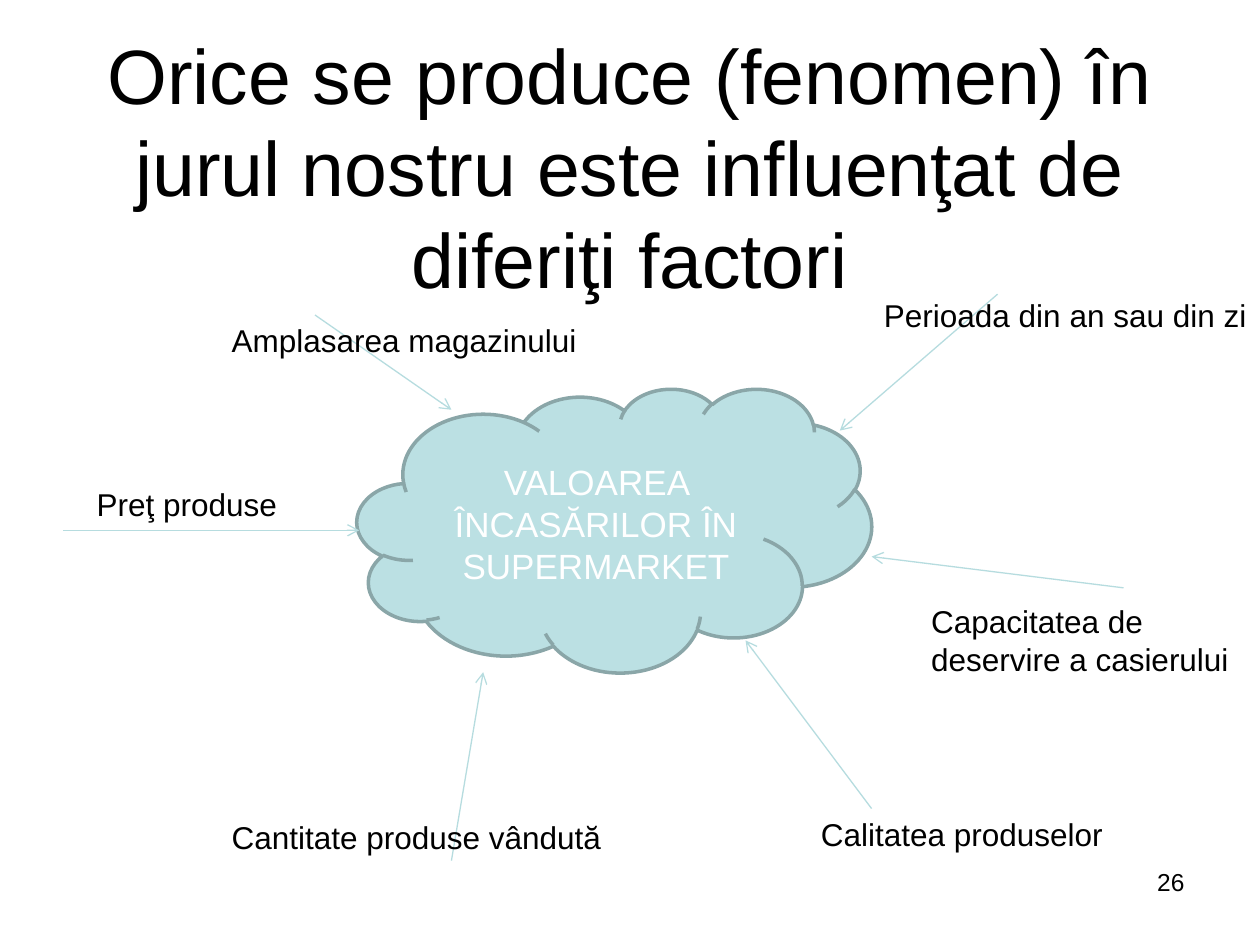
from lxml.etree import SubElement
from pptx import Presentation
from pptx.dml.color import RGBColor
from pptx.enum.shapes import MSO_CONNECTOR, MSO_SHAPE
from pptx.enum.text import MSO_ANCHOR, MSO_AUTO_SIZE, PP_ALIGN
from pptx.oxml.ns import qn
from pptx.util import Cm, Pt

BLACK, WHITE = "000000", "FFFFFF"
CLOUD_FILL, CLOUD_LINE, ARROW_LINE = "BBE0E3", "8AA6A8", "B6DCDF"

# Factor, label box (left, top, width, height), arrow start, arrow tip; in cm
FACTORS = [
    ("Preţ produse", (1.7, 9.65, 4.19, 1.02), (1.27, 10.69), (7.24, 10.69)),
    ("Cantitate produse vândută", (4.42, 16.36, 8.03, 1.02), (9.1, 17.35), (9.74, 13.55)),
    ("Calitatea produselor", (16.3, 16.3, 6.25, 1.02), (17.57, 16.3), (15.03, 12.91)),
    ("Capacitatea de\ndeservire a casierului", (18.52, 12.01, 6.58, 1.8), (22.65, 11.85), (17.57, 11.22)),
    ("Perioada din an sau din zi", (17.57, 5.84, 7.87, 1.02), (20.11, 5.93), (16.93, 8.68)),
    ("Amplasarea magazinului", (4.42, 6.35, 7.54, 1.02), (6.35, 6.35), (9.1, 8.26)),
]


def colour(code):
    return RGBColor.from_string(code)


def cm(*lengths):
    return [Cm(length) for length in lengths]


def write(shape, text, size=18, color=BLACK, align=PP_ALIGN.LEFT,
          anchor=MSO_ANCHOR.TOP, wrap=True, fit=MSO_AUTO_SIZE.NONE):
    frame = shape.text_frame
    frame.text = text
    frame.word_wrap = wrap
    frame.auto_size = fit
    frame.vertical_anchor = anchor
    for paragraph in frame.paragraphs:
        paragraph.alignment = align
        for run in paragraph.runs:
            run.font.name = "Arial"
            run.font.size = Pt(size)
            run.font.color.rgb = colour(color)


def add_text(slide, box, text, **text_format):
    write(slide.shapes.add_textbox(*cm(*box)), text, **text_format)


def add_arrow(slide, start, tip):
    arrow = slide.shapes.add_connector(MSO_CONNECTOR.STRAIGHT, *cm(*start, *tip))
    arrow.line.color.rgb = colour(ARROW_LINE)
    arrow.line.width = Pt(0.75)
    SubElement(arrow.line._get_or_add_ln(), qn("a:tailEnd"), type="arrow")
    SubElement(arrow._element.spPr, qn("a:effectLst"))


def add_cloud(slide, box, text):
    cloud = slide.shapes.add_shape(MSO_SHAPE.CLOUD, *cm(*box))
    cloud.shadow.inherit = False
    cloud.fill.solid()
    cloud.fill.fore_color.rgb = colour(CLOUD_FILL)
    cloud.line.color.rgb = colour(CLOUD_LINE)
    cloud.line.width = Pt(2)
    write(cloud, text, size=20, color=WHITE, align=PP_ALIGN.CENTER,
          anchor=MSO_ANCHOR.MIDDLE)


def set_title(slide, box, text):
    title = slide.shapes.title
    title.left, title.top, title.width, title.height = cm(*box)
    write(title, text, size=44, align=PP_ALIGN.CENTER, anchor=MSO_ANCHOR.MIDDLE)


def main():
    presentation = Presentation()
    presentation.slide_width, presentation.slide_height = cm(25.4, 19.05)
    slide = presentation.slides.add_slide(presentation.slide_layouts[5])

    # Title and page number
    set_title(slide, (1.27, 0.76, 22.86, 5.16),
              "Orice se produce (fenomen) în jurul nostru este influenţat de diferiţi factori")
    add_text(slide, (18.2, 17.35, 5.93, 1.32), "26", size=14, align=PP_ALIGN.RIGHT)

    # Phenomenon in the centre
    add_cloud(slide, (7.2, 7.83, 10.37, 5.72), "VALOAREA ÎNCASĂRILOR ÎN SUPERMARKET")

    # Factors that influence it
    for factor, label_box, start, tip in FACTORS:
        add_arrow(slide, start, tip)
        add_text(slide, label_box, factor, wrap=False, fit=MSO_AUTO_SIZE.SHAPE_TO_FIT_TEXT)

    presentation.save("out.pptx")


if __name__ == "__main__":
    main()
